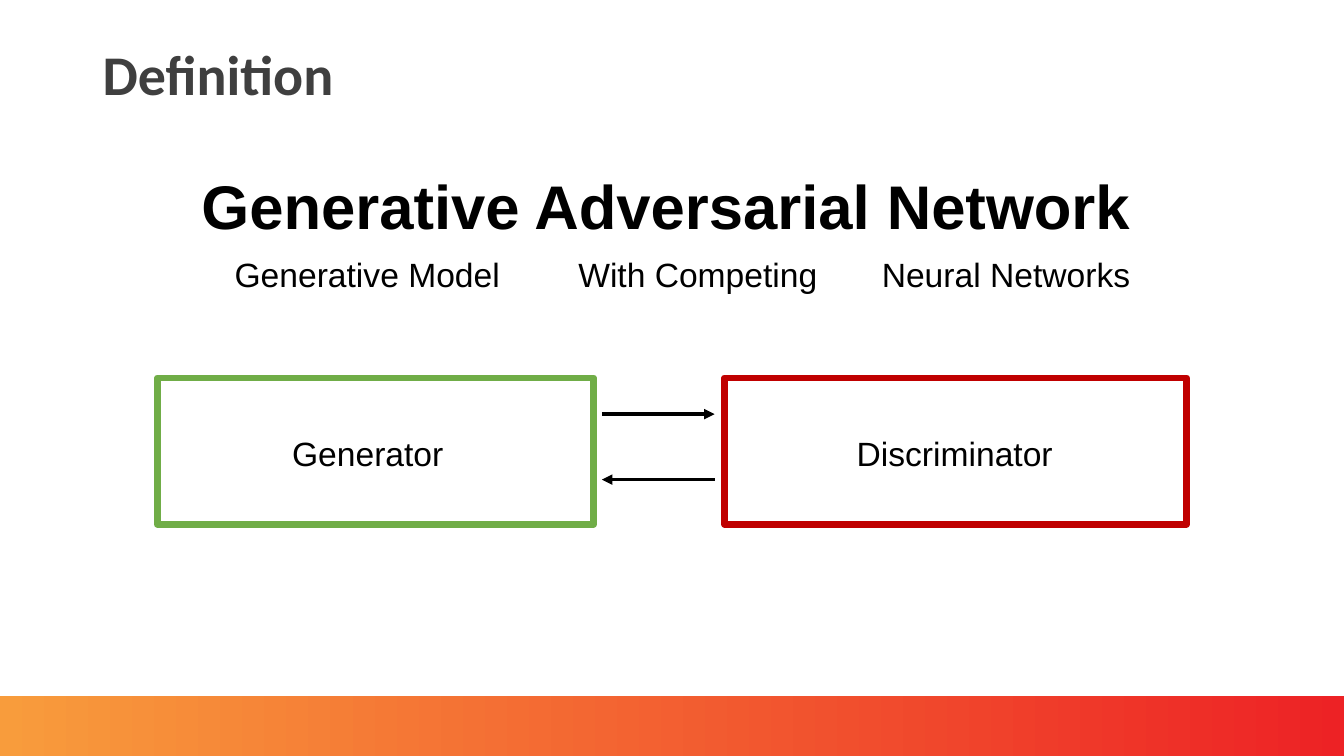
"""Build the slide that defines a generative adversarial network."""
from lxml import etree
from pptx import Presentation
from pptx.dml.color import RGBColor
from pptx.enum.shapes import MSO_CONNECTOR, MSO_SHAPE
from pptx.enum.text import MSO_ANCHOR, MSO_AUTO_SIZE, PP_ALIGN
from pptx.oxml.ns import qn
from pptx.util import Pt

RECTANGLE = MSO_SHAPE.RECTANGLE
STRAIGHT = MSO_CONNECTOR.STRAIGHT
MIDDLE = MSO_ANCHOR.MIDDLE
LEFT = PP_ALIGN.LEFT
GROW = MSO_AUTO_SIZE.SHAPE_TO_FIT_TEXT
BLACK = "000000"


def rgb(hex_colour):
    return RGBColor.from_string(hex_colour)


def write(frame, text, size, font_name, colour, bold):
    run = frame.paragraphs[0].add_run()
    run.text = text
    run.font.size = Pt(size)
    run.font.name = font_name
    run.font.bold = bold
    run.font.color.rgb = rgb(colour)


prs = Presentation()
prs.slide_width, prs.slide_height = Pt(960), Pt(540)
slide = prs.slides.add_slide(prs.slide_layouts[5])
shapes = slide.shapes

footer_band = shapes.add_shape(RECTANGLE, Pt(0), Pt(497), Pt(960), Pt(43))
footer_band.shadow.inherit = False
footer_band.line.fill.background()
footer_band.fill.gradient()
footer_band.fill.gradient_angle = 0
for stop, colour in zip(footer_band.fill.gradient_stops, ("F89C3C", "ED2225")):
    stop.color.rgb = rgb(colour)

title = shapes.title
title.left, title.top, title.width, title.height = Pt(66.2), Pt(28.8), Pt(828), Pt(53.3)
title.text_frame.vertical_anchor = MIDDLE
title.text_frame.paragraphs[0].alignment = LEFT
title.text_frame.paragraphs[0].line_spacing = 0.9
write(title.text_frame, "Definition", 40, "Calibri", "3F3F3F", True)

MEANING_TOP, PLAYER_TOP = 177.8, 306
labels = [
    ("Generative Adversarial Network", 136.8, 116.6, 687, 60.5, 44, True),
    ("Generative Model", 160.5, MEANING_TOP, 206, 36, 24, False),
    ("With Competing", 406, MEANING_TOP, 187, 36, 24, False),
    ("Neural Networks", 622.8, MEANING_TOP, 194, 36, 24, False),
    ("Generator", 201.6, PLAYER_TOP, 124, 36, 24, False),
    ("Discriminator", 604.8, PLAYER_TOP, 156, 36, 24, False),
]
for text, left, top, width, height, size, bold in labels:
    label = shapes.add_textbox(Pt(left), Pt(top), Pt(width), Pt(height))
    label.text_frame.word_wrap = False
    label.text_frame.auto_size = GROW
    write(label.text_frame, text, size, "Arial", BLACK, bold)

for left, width, colour in ((112.4, 311.6, "70AD47"), (517.6, 329.8, "C00000")):
    player = shapes.add_shape(RECTANGLE, Pt(left), Pt(270), Pt(width), Pt(104.4))
    player.shadow.inherit = False
    player.fill.background()
    player.line.color.rgb = rgb(colour)
    player.line.width = Pt(5)

for start, end, y in ((430, 510.5, 295.8), (510.5, 430, 342.6)):
    exchange = shapes.add_connector(STRAIGHT, Pt(start), Pt(y), Pt(end), Pt(y))
    exchange.line.color.rgb = rgb(BLACK)
    exchange.line.width = Pt(2.5)
    properties = exchange._element.spPr
    etree.SubElement(properties.find(qn("a:ln")), qn("a:tailEnd"), type="triangle")
    etree.SubElement(properties, qn("a:effectLst"))

prs.save("out.pptx")
